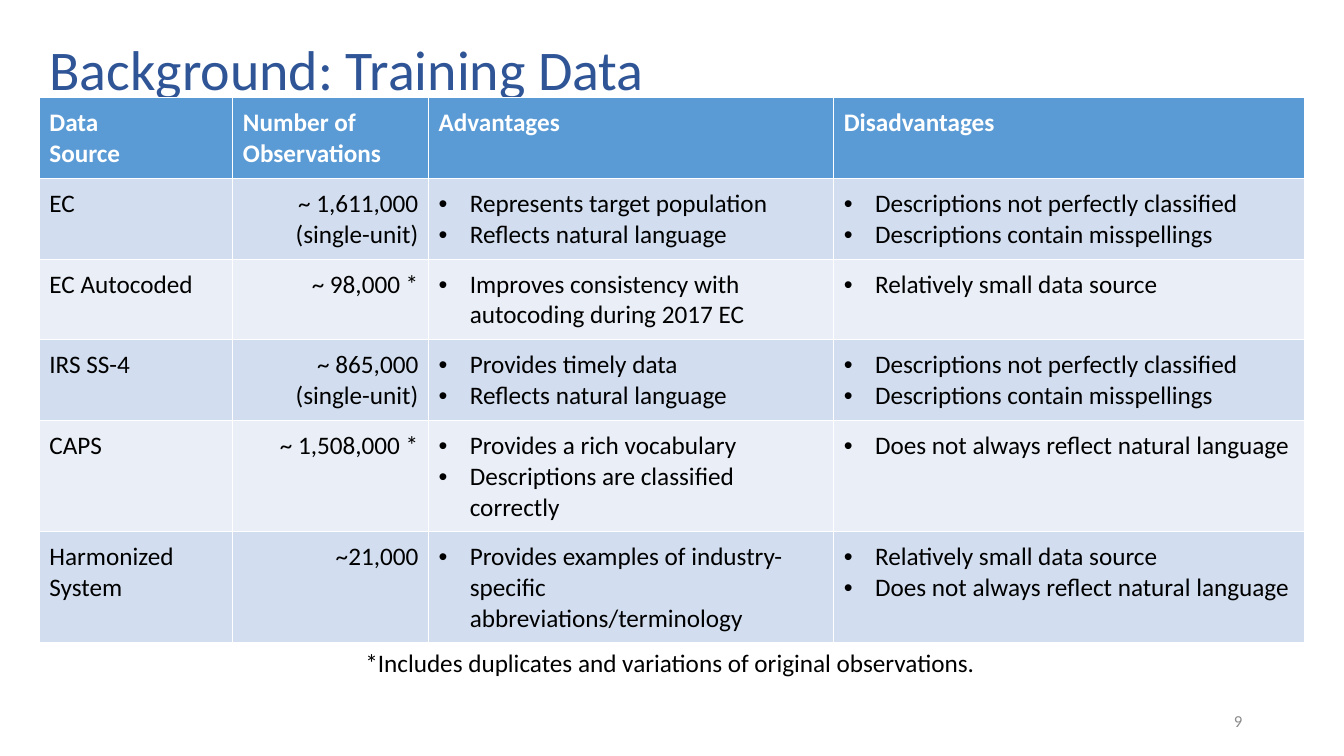
"""Build the training data slide: a title, a table of sources, a footnote and a page number."""
from lxml.etree import SubElement
from pptx import Presentation
from pptx.dml.color import RGBColor as RGB
from pptx.enum.text import MSO_ANCHOR as Anchor, MSO_AUTO_SIZE as Fit, PP_ALIGN as Align
from pptx.oxml.ns import qn
from pptx.util import Inches as In, Pt

HUES = {
    "title": "2F5597", "head": "5B9BD5", "odd": "D2DEEF", "even": "EAEFF7",
    "white": "FFFFFF", "black": "000000", "grey": "8C8C8C",
}
LEFT, TOP, WIDE = 0.39, 0.97, 12.55
COLS = [1.92, 1.94, 4.02, 4.67]
TALL = [0.76] * 4 + [1.05] * 2
ROWS = [
    ["Data\nSource", "Number of\nObservations", "Advantages", "Disadvantages"],
    ["EC", "~ 1,611,000\n(single-unit)",
     "Represents target population\nReflects natural language",
     "Descriptions not perfectly classified\nDescriptions contain misspellings"],
    ["EC Autocoded", "~ 98,000 *",
     "Improves consistency with autocoding during 2017 EC",
     "Relatively small data source"],
    ["IRS SS-4", "~ 865,000\n(single-unit)",
     "Provides timely data\nReflects natural language",
     "Descriptions not perfectly classified\nDescriptions contain misspellings"],
    ["CAPS", "~ 1,508,000 *",
     "Provides a rich vocabulary\nDescriptions are classified correctly",
     "Does not always reflect natural language"],
    ["Harmonized\nSystem", "~21,000",
     "Provides examples of industry-specific abbreviations/terminology",
     "Relatively small data source\nDoes not always reflect natural language"],
]


def write(frame, text, size=18, hue="black", bold=False, align=Align.LEFT,
          space=None, bullet=False):
    frame.word_wrap = True
    frame.text = text
    for para in frame.paragraphs:
        para.alignment = align
        para.line_spacing = space
        for run in para.runs:
            font = run.font
            font.name, font.size, font.bold = "Calibri", Pt(size), bold
            font.color.rgb = RGB.from_string(HUES[hue])
        if bullet:
            props = para._p.get_or_add_pPr()
            props.set("marL", str(In(0.31)))
            props.set("indent", str(In(-0.31)))
            SubElement(props, qn("a:buFont"), typeface="Arial")
            SubElement(props, qn("a:buChar"), char="•")


deck = Presentation()
deck.slide_width, deck.slide_height = In(13.33), In(7.5)
slide = deck.slides.add_slide(deck.slide_layouts[5])
shapes = slide.shapes

title = shapes.title
title.left, title.top, title.width, title.height = In(LEFT), In(0.13), In(WIDE), In(1.18)
write(title.text_frame, "Background: Training Data", size=40, hue="title", space=0.9)
title.text_frame.auto_size = Fit.NONE
title.text_frame.vertical_anchor = Anchor.MIDDLE

page = shapes.add_textbox(In(9.42), In(6.95), In(3), In(0.4)).text_frame
write(page, "9", size=12, hue="grey", align=Align.RIGHT)
page.vertical_anchor = Anchor.MIDDLE

table = shapes.add_table(len(ROWS), len(COLS), In(LEFT), In(TOP), In(WIDE), In(sum(TALL))).table
for col, width in zip(table.columns, COLS):
    col.width = In(width)
for row, height in zip(table.rows, TALL):
    row.height = In(height)

for r, row in enumerate(ROWS):
    head = r == 0
    for c, text in enumerate(row):
        cell = table.cell(r, c)
        cell.margin_left = cell.margin_right = cell.margin_top = cell.margin_bottom = In(0.1)
        cell.fill.solid()
        shade = "head" if head else "odd" if r % 2 else "even"
        cell.fill.fore_color.rgb = RGB.from_string(HUES[shade])
        write(cell.text_frame, text, hue="white" if head else "black", bold=head,
              align=Align.RIGHT if c == 1 and not head else Align.LEFT,
              bullet=c > 1 and not head)

note = shapes.add_textbox(In(2.9), In(6.37), In(7.49), In(0.4)).text_frame
write(note, "*Includes duplicates and variations of original observations.", align=Align.CENTER)

deck.save("out.pptx")
